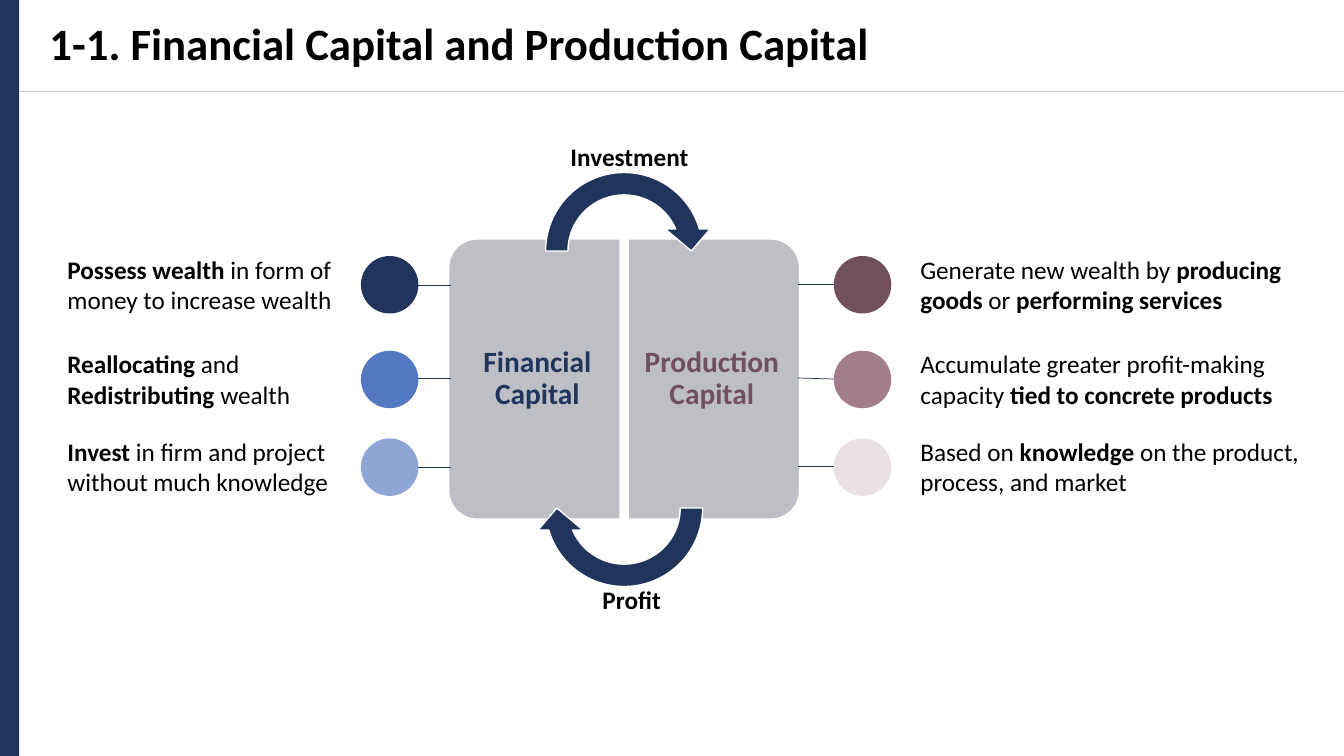
from lxml import etree
from pptx import Presentation
from pptx.dml.color import RGBColor
from pptx.enum.shapes import MSO_CONNECTOR, MSO_SHAPE
from pptx.enum.text import MSO_ANCHOR, MSO_AUTO_SIZE, PP_ALIGN
from pptx.oxml.ns import qn
from pptx.util import Pt

PX = 9144
FONT = "Calibri"
NAVY = RGBColor(0x21, 0x34, 0x5C)
BLUE = RGBColor(0x55, 0x78, 0xC2)
SKY = RGBColor(0x8E, 0xA5, 0xD6)
PLUM = RGBColor(0x70, 0x50, 0x5C)
MAUVE = RGBColor(0xA2, 0x7D, 0x8B)
PINK = RGBColor(0xEA, 0xE1, 0xE5)
GREY = RGBColor(0xBD, 0xBF, 0xC4)
RULE = RGBColor(0xC9, 0xCA, 0xCF)
BLACK = RGBColor(0, 0, 0)
WHITE = RGBColor(0xFF, 0xFF, 0xFF)
RECT, OVAL = MSO_SHAPE.RECTANGLE, MSO_SHAPE.OVAL
PANEL, ARROW = MSO_SHAPE.ROUND_2_SAME_RECTANGLE, MSO_SHAPE.CIRCULAR_ARROW
STRAIGHT = MSO_CONNECTOR.STRAIGHT
LEFT, CENTER = PP_ALIGN.LEFT, PP_ALIGN.CENTER
TOP, MIDDLE = MSO_ANCHOR.TOP, MSO_ANCHOR.MIDDLE
NO_FIT = MSO_AUTO_SIZE.NONE

deck = Presentation()
deck.slide_width, deck.slide_height = 1333 * PX, 750 * PX
slide = deck.slides.add_slide(deck.slide_layouts[5])


def draw(kind, box, fill, edge=None, turn=0, bends=()):
    shape = slide.shapes.add_shape(kind, *[n * PX for n in box])
    shape.shadow.inherit = False
    shape.rotation = turn
    shape.fill.solid()
    shape.fill.fore_color.rgb = fill
    if edge is None:
        shape.line.fill.background()
    else:
        shape.line.color.rgb = edge
        shape.line.width = Pt(1)
    for i, bend in enumerate(bends):
        shape.adjustments[i] = bend


def label(box, parts, size=18, color=BLACK, align=LEFT, anchor=TOP):
    text = slide.shapes.add_textbox(*[n * PX for n in box])
    frame = text.text_frame
    frame.word_wrap = True
    frame.vertical_anchor = anchor
    para = frame.paragraphs[0]
    para.alignment = align
    for words, bold in parts:
        run = para.add_run()
        run.text = words
        run.font.name = FONT
        run.font.size = Pt(size)
        run.font.bold = bold
        run.font.color.rgb = color
    return frame


title = slide.shapes.title
title.left, title.top, title.width, title.height = 39 * PX, 0, 1150 * PX, 91 * PX
frame = title.text_frame
frame.text = "1-1. Financial Capital and Production Capital"
frame.auto_size = NO_FIT
frame.vertical_anchor = MIDDLE
para = frame.paragraphs[0]
para.alignment = LEFT
para.line_spacing = 0.9
font = para.runs[0].font
font.name, font.size, font.bold = FONT, Pt(32), True
font.color.rgb = BLACK

draw(RECT, (0, 0, 19, 750), NAVY)

panels = [
    ("Financial Capital", NAVY, 391, 270, 454, 9, 13),
    ("Production Capital", PLUM, 569, 90, 623, 13, 9),
]
for name, color, x, turn, left, inset, outset in panels:
    draw(PANEL, (x, 291, 278, 170), GREY, WHITE, turn, (0.167, 0))
    frame = label((left, 245, 162, 262), [(name, True)], 21, color, CENTER, MIDDLE)
    frame.margin_left, frame.margin_right = inset * PX, outset * PX
    frame.margin_top = frame.margin_bottom = 15 * PX
    frame.paragraphs[0].line_spacing = 0.9

for y, turn in ((160, 0), (415, 180)):
    draw(ARROW, (530, y, 178, 178), NAVY, WHITE, turn,
         (0.125, 11.423, 204.577, 108, 0.125))

lines = [
    (19, 91, 1333, 91, RULE),
    (388, 283, 447, 283, NAVY),
    (388, 375, 447, 375, NAVY),
    (388, 464, 447, 464, NAVY),
    (791, 282, 827, 282, NAVY),
    (791, 375, 827, 376, NAVY),
    (791, 463, 827, 463, NAVY),
]
for *ends, color in lines:
    link = slide.shapes.add_connector(STRAIGHT, *[n * PX for n in ends])
    link.line.color.rgb = color
    link.line.width = Pt(0.5)
    etree.SubElement(link._element.spPr, qn("a:effectLst"))

sides = [
    (358, 57, 301, [
        (NAVY, [("Possess wealth ", True),
                ("in form of money to increase wealth", False)]),
        (BLUE, [("Reallocating", True), (" and ", False),
                ("Redistributing", True), (" wealth", False)]),
        (SKY, [("Invest", True),
               (" in firm and project without much knowledge", False)]),
    ]),
    (827, 903, 407, [
        (PLUM, [("Generate new wealth by ", False), ("producing goods", True),
                (" or ", False), ("performing services", True)]),
        (MAUVE, [("Accumulate greater profit-making capacity ", False),
                 ("tied to concrete products", True)]),
        (PINK, [("Based on ", False), ("knowledge", True),
                (" on the product, process, and market", False)]),
    ]),
]
for dot, left, width, points in sides:
    for y, (color, parts) in zip((254, 348, 435), points):
        draw(OVAL, (dot, y, 57, 57), color)
        label((left, y - 7, width, 71), parts)

label((556, 135, 141, 40), [("Investment", True)])
label((556, 575, 141, 40), [("Profit", True)], align=CENTER)

deck.save("out.pptx")
